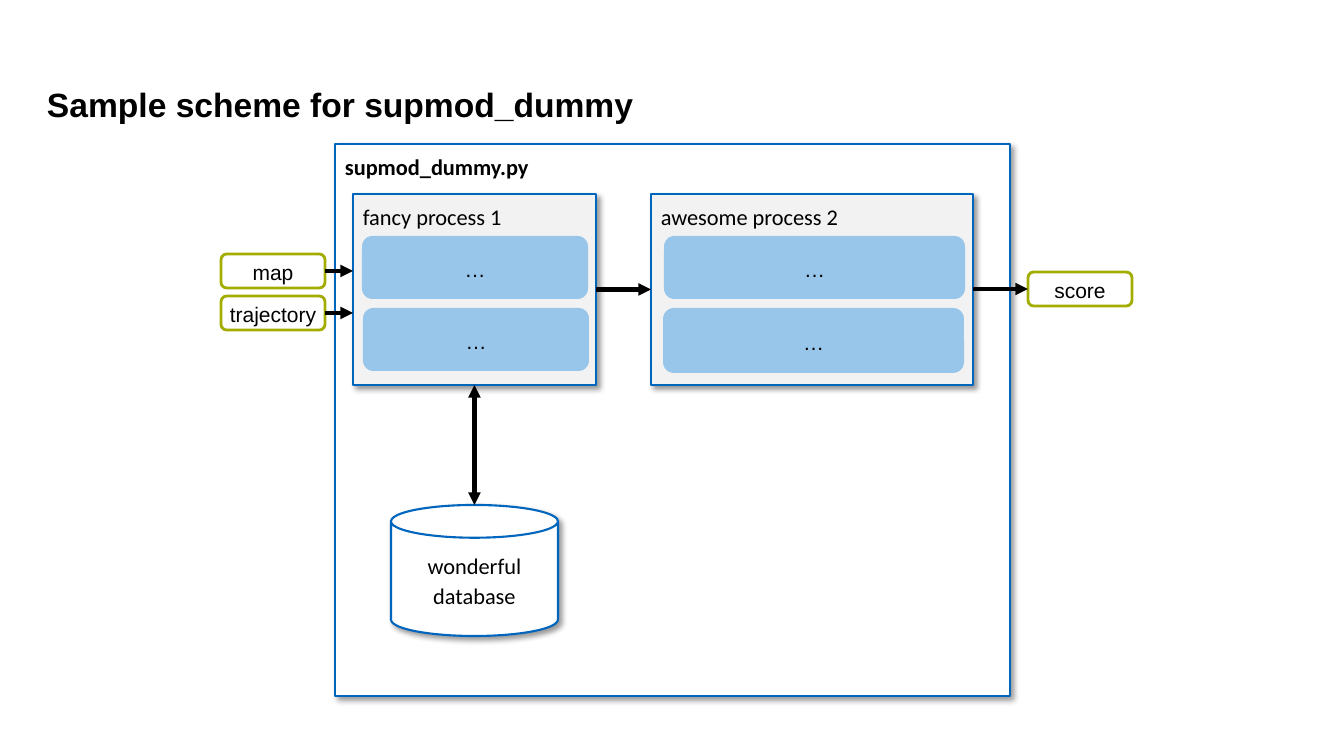
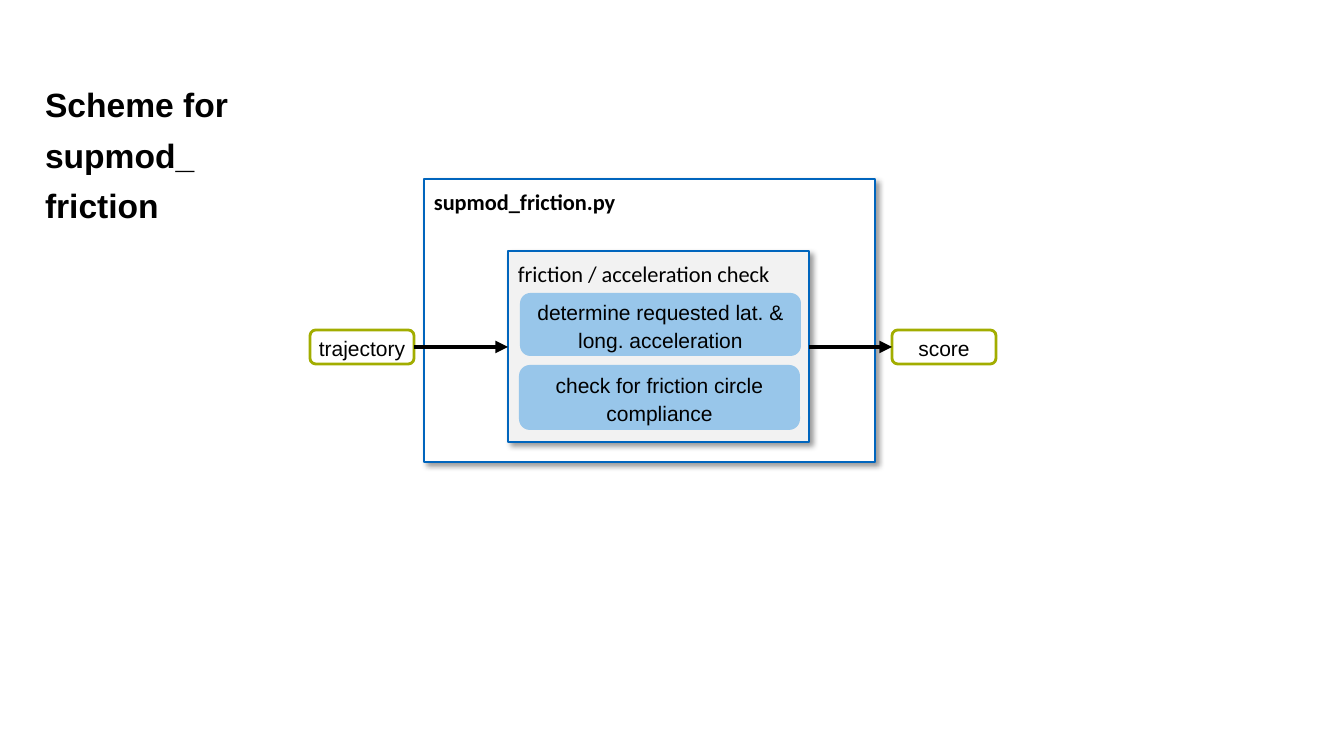
"""Build two slides that show the processing schemes of supervisor modules."""
from lxml import etree
from pptx import Presentation
from pptx.dml.color import RGBColor
from pptx.enum.shapes import MSO_CONNECTOR, MSO_SHAPE
from pptx.enum.text import MSO_ANCHOR, MSO_AUTO_SIZE, PP_ALIGN
from pptx.oxml.ns import qn
from pptx.util import Pt

RECT, ROUND, CAN = MSO_SHAPE.RECTANGLE, MSO_SHAPE.ROUNDED_RECTANGLE, MSO_SHAPE.CAN
STRAIGHT = MSO_CONNECTOR.STRAIGHT
TOP, MIDDLE = MSO_ANCHOR.TOP, MSO_ANCHOR.MIDDLE
LEFT, CENTER = PP_ALIGN.LEFT, PP_ALIGN.CENTER
GROW = MSO_AUTO_SIZE.SHAPE_TO_FIT_TEXT

COLORS = {"ink": "000000", "white": "FFFFFF", "panel": "F2F2F2",
          "blue": "0065BD", "step": "98C6EA", "green": "A2AD00"}

SLIDES = [
    {
        "title": ("Sample scheme for supmod_dummy", (47, 74, 1251, 46)),
        "module": ("supmod_dummy.py", (335, 144, 675, 552)),
        "processes": [
            ("fancy process 1", (353, 194, 243, 191),
             [("…", 9, 226, 63), ("…", 10, 226, 63)]),
            ("awesome process 2", (651, 194, 322, 191),
             [("…", 13, 301, 63), ("…", 12, 301, 65)]),
        ],
        "databases": [("wonderful\ndatabase", (391, 505, 167, 131))],
        "ports": [("map", 221, 254), ("trajectory", 221, 296), ("score", 1028, 272)],
        "flows": [("map", "fancy process 1"), ("trajectory", "fancy process 1"),
                  ("fancy process 1", "awesome process 2"),
                  ("awesome process 2", "score")],
        "exchanges": [("fancy process 1", "wonderful\ndatabase")],
    },
    {
        "title": ("Scheme for supmod_\nfriction", (45, 74, 211, 148)),
        "module": ("supmod_friction.py", (424, 179, 451, 283)),
        "processes": [
            ("friction / acceleration check", (508, 251, 301, 191),
             [("determine requested lat. & long. acceleration", 12, 281, 63),
              ("check for friction circle compliance", 11, 281, 65)]),
        ],
        "databases": [],
        "ports": [("trajectory", 310, 330), ("score", 892, 330)],
        "flows": [("trajectory", "friction / acceleration check"),
                  ("friction / acceleration check", "score")],
        "exchanges": [],
    },
]

PORT_W, PORT_H = 104, 34
STEP_TOP, STEP_PITCH = 42, 72


def px(n):
    return round(n * 914400 / 100.8)


def rgb(name):
    return RGBColor.from_string(COLORS[name])


def write(sp, text, font, size, bold=False, align=LEFT, anchor=TOP,
          spacing=1.14, inset=True):
    tf = sp.text_frame
    tf.word_wrap = True
    tf.vertical_anchor = anchor
    if not inset:
        tf.margin_left = tf.margin_top = tf.margin_right = tf.margin_bottom = 0
    p = tf.paragraphs[0]
    p.text = text.replace("\n", "\v")
    p.alignment = align
    p.line_spacing = spacing
    p.font.name, p.font.size, p.font.bold = font, Pt(size), bold
    p.font.color.rgb = rgb("ink")


def add_title(s, text, box):
    sp = s.shapes.add_textbox(*map(px, box))
    write(sp, text, "Arial", 24, bold=True, spacing=1.25, inset=False)
    sp.text_frame.auto_size = GROW


def add_box(s, kind, box, fill, line=None, width=1.5):
    sp = s.shapes.add_shape(kind, *map(px, box))
    sp.shadow.inherit = False
    sp.fill.solid()
    sp.fill.fore_color.rgb = rgb(fill)
    if line:
        sp.line.color.rgb = rgb(line)
        sp.line.width = Pt(width)
    else:
        sp.line.fill.background()
    return sp


def add_block(s, kind, text, box, fill="white", **style):
    sp = add_box(s, kind, box, fill, "blue")
    effects = sp._element.spPr.find(qn("a:effectLst"))
    shadow = etree.SubElement(effects, qn("a:outerShdw"), blurRad=str(Pt(4)),
                              dist=str(Pt(3)), dir="2700000", algn="tl",
                              rotWithShape="0")
    color = etree.SubElement(shadow, qn("a:srgbClr"), val=COLORS["ink"])
    etree.SubElement(color, qn("a:alpha"), val="40000")
    write(sp, text, "Calibri", 16, **style)


def add_label(s, text, box, fill, line=None, anchor=MIDDLE):
    sp = add_box(s, ROUND, box, fill, line, 2)
    write(sp, text, "Arial", 15, align=CENTER, anchor=anchor, inset=False)


def add_arrow(s, start, end, tips=("tailEnd",)):
    cn = s.shapes.add_connector(STRAIGHT, *map(px, start + end))
    cn.line.color.rgb = rgb("ink")
    cn.line.width = Pt(3)
    for tip in tips:
        etree.SubElement(cn.line._get_or_add_ln(), qn(f"a:{tip}"), type="triangle")
    etree.SubElement(cn._element.spPr, qn("a:effectLst"))


def add_process(s, name, box, steps):
    add_block(s, RECT, name, box, "panel")
    for i, (text, dx, w, h) in enumerate(steps):
        y = box[1] + STEP_TOP + i * STEP_PITCH
        add_label(s, text, (box[0] + dx, y, w, h), "step")


def add_scheme(s, scheme):
    boxes = {}
    add_title(s, *scheme["title"])
    name, box = scheme["module"]
    add_block(s, RECT, name, box, bold=True)
    for name, box, steps in scheme["processes"]:
        boxes[name] = box
        add_process(s, name, box, steps)
    for name, box in scheme["databases"]:
        boxes[name] = box
        add_block(s, CAN, name, box, align=CENTER, anchor=MIDDLE)
    for name, x, y in scheme["ports"]:
        boxes[name] = (x, y, PORT_W, PORT_H)
        add_label(s, name, boxes[name], "white", "green", TOP)
    for source, target in scheme["flows"]:
        a, b = boxes[source], boxes[target]
        smaller = min(a, b, key=lambda box: box[3])
        y = smaller[1] + smaller[3] / 2
        add_arrow(s, (a[0] + a[2], y), (b[0], y))
    for upper, lower in scheme["exchanges"]:
        a, b = boxes[upper], boxes[lower]
        x = b[0] + b[2] / 2
        add_arrow(s, (x, a[1] + a[3]), (x, b[1]), ("headEnd", "tailEnd"))


prs = Presentation()
prs.slide_width, prs.slide_height = px(1344), px(756)
for scheme in SLIDES:
    add_scheme(prs.slides.add_slide(prs.slide_layouts[6]), scheme)
prs.save("out.pptx")
